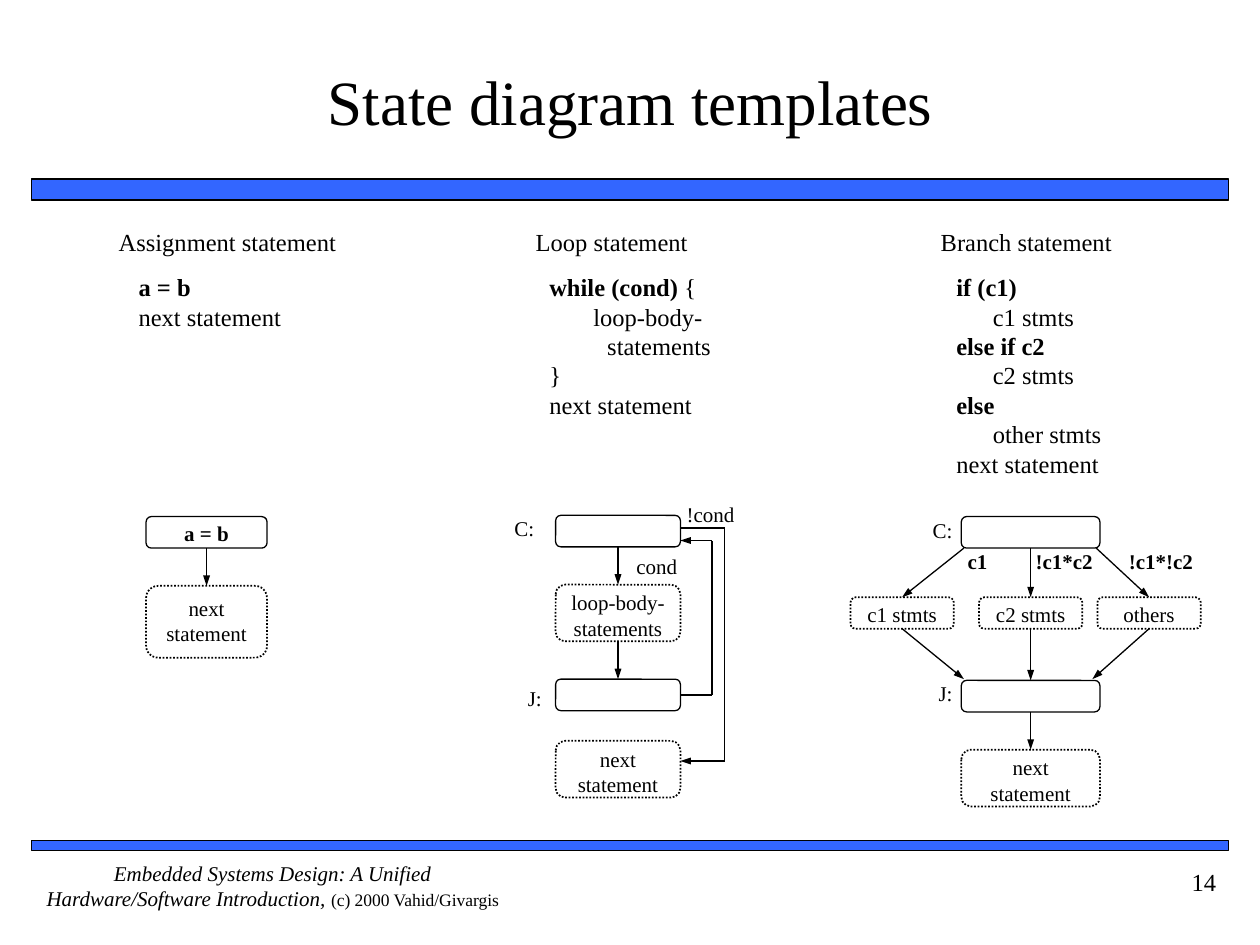
"""Build the slide on state diagram templates for three kinds of statement."""
from itertools import pairwise

from lxml import etree
from pptx import Presentation
from pptx.dml.color import RGBColor
from pptx.enum.dml import MSO_LINE
from pptx.enum.shapes import MSO_CONNECTOR, MSO_SHAPE
from pptx.enum.text import MSO_ANCHOR, PP_ALIGN
from pptx.oxml.ns import qn
from pptx.util import Inches, Pt

RECT, ROUND = MSO_SHAPE.RECTANGLE, MSO_SHAPE.ROUNDED_RECTANGLE
STRAIGHT, DOTS = MSO_CONNECTOR.STRAIGHT, MSO_LINE.ROUND_DOT
LEFT, CENTER, RIGHT = PP_ALIGN.LEFT, PP_ALIGN.CENTER, PP_ALIGN.RIGHT
TOP, MIDDLE = MSO_ANCHOR.TOP, MSO_ANCHOR.MIDDLE
N_SIDE, S_SIDE, E_SIDE = 0, 2, 3
COLUMNS, ROWS = 100, 75
CELL = Inches(0.1)


class Theme:
    """Hold the colours, font, type sizes and line widths."""
    ink = RGBColor(0, 0, 0)
    paper = RGBColor(255, 255, 255)
    accent = RGBColor(0x33, 0x66, 0xFF)
    font = "Times New Roman"
    title, body, label, credit = 36, 14, 12, 10
    thin, thick = 0.75, 1


PLAIN, BOLD, ITALIC = {}, {"bold": True}, {"italic": True}
CREDIT = {"size": Pt(Theme.credit)}


def grid(*cells):
    """Turn grid cells into lengths."""
    return [round(c * CELL) for c in cells]


def write(shape, lines, size, align=LEFT, anchor=TOP, inset=(0, 0, 0, 0), wrap=True):
    """Fill a shape with lines, each an indent followed by (text, format) runs."""
    tf = shape.text_frame
    left, top, right, bottom = grid(*inset)
    frame = {"word_wrap": wrap, "vertical_anchor": anchor, "margin_left": left,
             "margin_top": top, "margin_right": right, "margin_bottom": bottom}
    for name, value in frame.items():
        setattr(tf, name, value)
    for i, (indent, *runs) in enumerate(lines):
        p = tf.add_paragraph() if i else tf.paragraphs[0]
        p.alignment = align
        if indent:
            p._p.get_or_add_pPr().set("marL", str(round(indent * CELL)))
        for text, fmt in runs:
            r = p.add_run()
            r.text = text
            r.font.color.rgb = Theme.ink
            for name, value in {"name": Theme.font, "size": Pt(size), **fmt}.items():
                setattr(r.font, name, value)


def text(s, at, lines, size, **layout):
    """Add a text box."""
    write(s.shapes.add_textbox(*grid(*at)), lines, size, **layout)


def label(s, at, words, fmt=PLAIN, align=LEFT):
    """Add a one-line diagram label."""
    text(s, at, [(0, (words, fmt))], Theme.label, align=align, wrap=False)


def panel(s, kind, at, fill, width):
    """Add a filled and outlined shape."""
    sp = s.shapes.add_shape(kind, *grid(*at))
    sp.shadow.inherit = False
    sp.fill.solid()
    sp.fill.fore_color.rgb = fill
    sp.line.color.rgb = Theme.ink
    sp.line.width = Pt(width)
    return sp


def state(s, at, *words, fmt=PLAIN, dotted=True, top=0.2):
    """Add a state box, dotted when it stands for further states."""
    sp = panel(s, ROUND, at, Theme.paper, Theme.thick if dotted else Theme.thin)
    if dotted:
        sp.line.dash_style = DOTS
    if words:
        write(sp, [(0, (w, fmt)) for w in words], Theme.label, align=CENTER,
              inset=(1, top, 1, 0.5))
    return sp


def line(s, start, end, arrow=True, begin=None, finish=None):
    """Draw a line between grid points, joined to (shape, side) where given."""
    c = s.shapes.add_connector(STRAIGHT, *grid(*start, *end))
    if begin:
        c.begin_connect(*begin)
    if finish:
        c.end_connect(*finish)
    c.line.color.rgb = Theme.ink
    c.line.width = Pt(Theme.thin)
    if arrow:
        etree.SubElement(c.line._get_or_add_ln(), qn("a:tailEnd"), type="triangle", w="sm")
    etree.SubElement(c._element.spPr, qn("a:effectLst"))


def flow(s, upper, lower):
    """Join two stacked states with a downward arrow."""
    line(s, (0, 0), (0, 0), begin=(upper, S_SIDE), finish=(lower, N_SIDE))


def route(s, points, begin=None):
    """Draw a bent path whose last leg carries the arrowhead."""
    legs = list(pairwise(points))
    for i, (start, end) in enumerate(legs):
        line(s, start, end, arrow=i == len(legs) - 1, begin=None if i else begin)


def frame(s):
    """Add the title, the bands, the footer and the page number."""
    for top, height in ((14.2, 1.7), (66.7, 0.8)):
        panel(s, RECT, (2.5, top, 95, height), Theme.accent, Theme.thick)
    text(s, (4.2, 1.7, 91.7, 12.5), [(0, ("State diagram templates", PLAIN))],
         Theme.title, align=CENTER, anchor=MIDDLE, inset=(0, 0.5, 0, 0.5))
    credit = (0, ("Embedded Systems Design: A Unified Hardware/Software Introduction, ", ITALIC),
              ("(c) 2000 Vahid/Givargis", CREDIT))
    text(s, (2.5, 68.3, 38.3, 5), [credit], Theme.label, align=CENTER)
    text(s, (87.5, 68.3, 10, 5), [(0, ("14", PLAIN))], Theme.body, align=RIGHT,
         inset=(1, 0.5, 1, 0.5))


def statement(s, left, heading, code_left, code):
    """Add a column heading with its code."""
    text(s, (left, 18, 29.5, 2.5), [(0, (heading, PLAIN))], Theme.body, align=CENTER)
    text(s, (code_left, 21.6, 15, 2.35 * len(code)), code, Theme.body)


def assignment(s):
    """Draw the assignment column."""
    statement(s, 3.3, "Assignment statement", 11,
              [(0, ("a = b", BOLD)), (0, ("next statement", PLAIN))])
    first = state(s, (11.6, 41, 9.6, 2.5), "a = b", fmt=BOLD, dotted=False)
    flow(s, first, state(s, (11.6, 46.5, 9.6, 5.7), "next statement", top=0.5))


def loop(s):
    """Draw the loop column."""
    statement(s, 33.8, "Loop statement", 43.6, [
        (0, ("while (cond)", BOLD), (" {", PLAIN)), (3.5, ("loop-body-", PLAIN)),
        (4.6, ("statements", PLAIN)), (0, ("}", PLAIN)), (0, ("next statement", PLAIN))])
    left, width, right = 44.1, 9.9, 54
    test = state(s, (left, 40.9, width, 2.5), dotted=False)
    body = state(s, (left, 46.4, width, 4.5), "loop-body-", "statements")
    join = state(s, (left, 53.9, width, 2.5), dotted=False)
    state(s, (left, 58.8, width, 4.5), "next statement")
    flow(s, test, body)
    flow(s, body, join)
    route(s, [(right, 55.15), (56.5, 55.15), (56.5, 42.9), (right, 42.9)], (join, E_SIDE))
    route(s, [(right, 41.9), (57.5, 41.9), (57.5, 60.4), (right, 60.4)])
    label(s, (50.5, 43.9, 4.6, 2), "cond")
    label(s, (54.5, 39.8, 4.1, 2), "!cond")
    label(s, (39.4, 40.9, 3, 2), "C:", align=RIGHT)
    label(s, (40, 54.4, 3, 2), "J:", align=RIGHT)


def branch(s):
    """Draw the branch column."""
    code = [(0, ("if (c1)", BOLD)), (2.9, ("c1 stmts", PLAIN)),
            (0, ("else if c2", BOLD)), (2.9, ("c2 stmts", PLAIN)),
            (0, ("else", BOLD)), (2.9, ("other stmts", PLAIN)),
            (0, ("next statement", PLAIN))]
    statement(s, 66.7, "Branch statement", 75.9, code)
    left, width = 76.3, 11
    test, join = [state(s, (left, top, width, 2.5), dotted=False) for top in (41, 54)]
    flow(s, join, state(s, (left, 59.5, width, 4.5), "next statement"))
    cases = [state(s, (x, 47.4, 8.2, 2.5), words) for x, words in
             ((67.5, "c1 stmts"), (77.7, "c2 stmts"), (87.1, "others"))]
    flow(s, test, cases[1])
    flow(s, cases[1], join)
    for case, leave, enter in ((cases[0], 76.5, 76.5), (cases[2], 87, 86.7)):
        line(s, (leave, 43.5), (0, 0), finish=(case, N_SIDE))
        line(s, (0, 0), (enter, 53.9), begin=(case, S_SIDE))
    for x, span, words in ((76.8, 2, "c1"), (82.2, 5, "!c1*c2"), (89.6, 6.6, "!c1*!c2")):
        label(s, (x, 43.5, span, 2), words, BOLD)
    for top, words in ((41.1, "C:"), (54, "J:")):
        label(s, (71.6, top, 4, 2), words, align=RIGHT)


def main():
    """Build and save the slide."""
    prs = Presentation()
    prs.slide_width, prs.slide_height = grid(COLUMNS, ROWS)
    s = prs.slides.add_slide(prs.slide_layouts[6])
    for draw in (frame, assignment, loop, branch):
        draw(s)
    prs.save("out.pptx")


if __name__ == "__main__":
    main()
